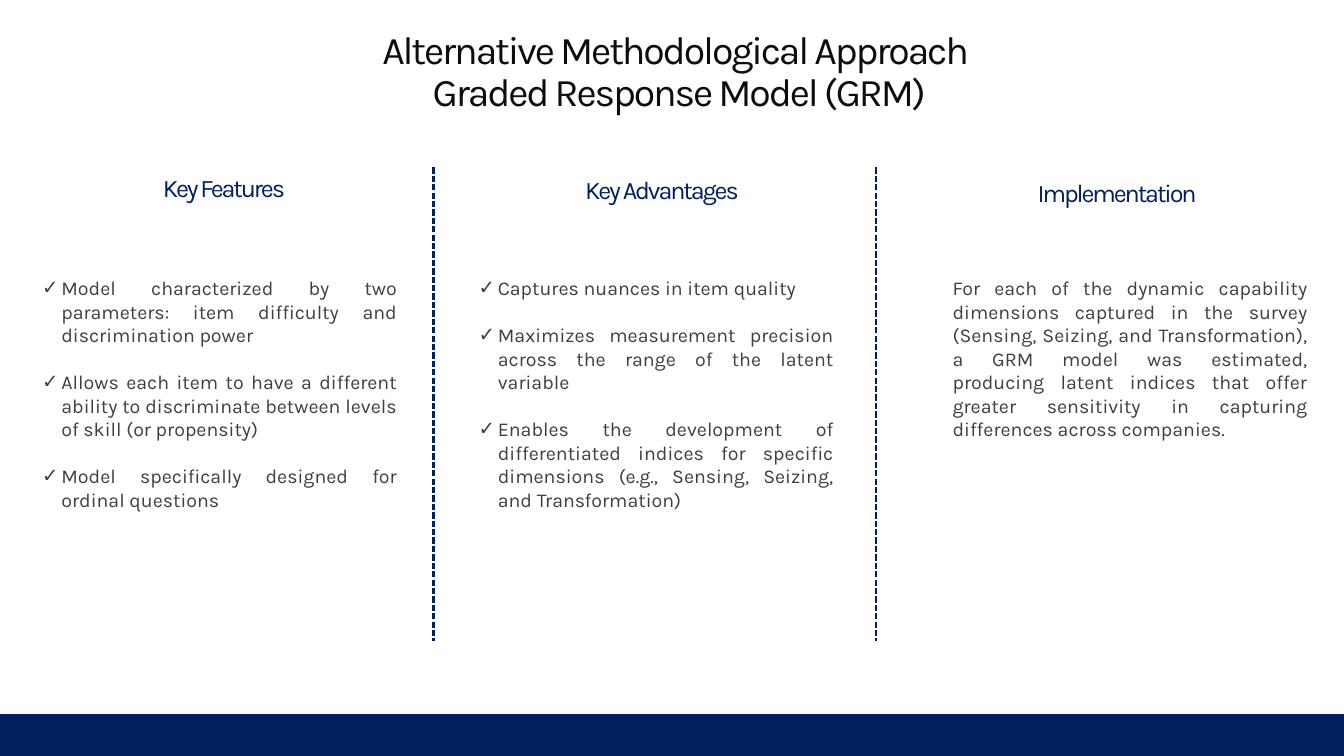
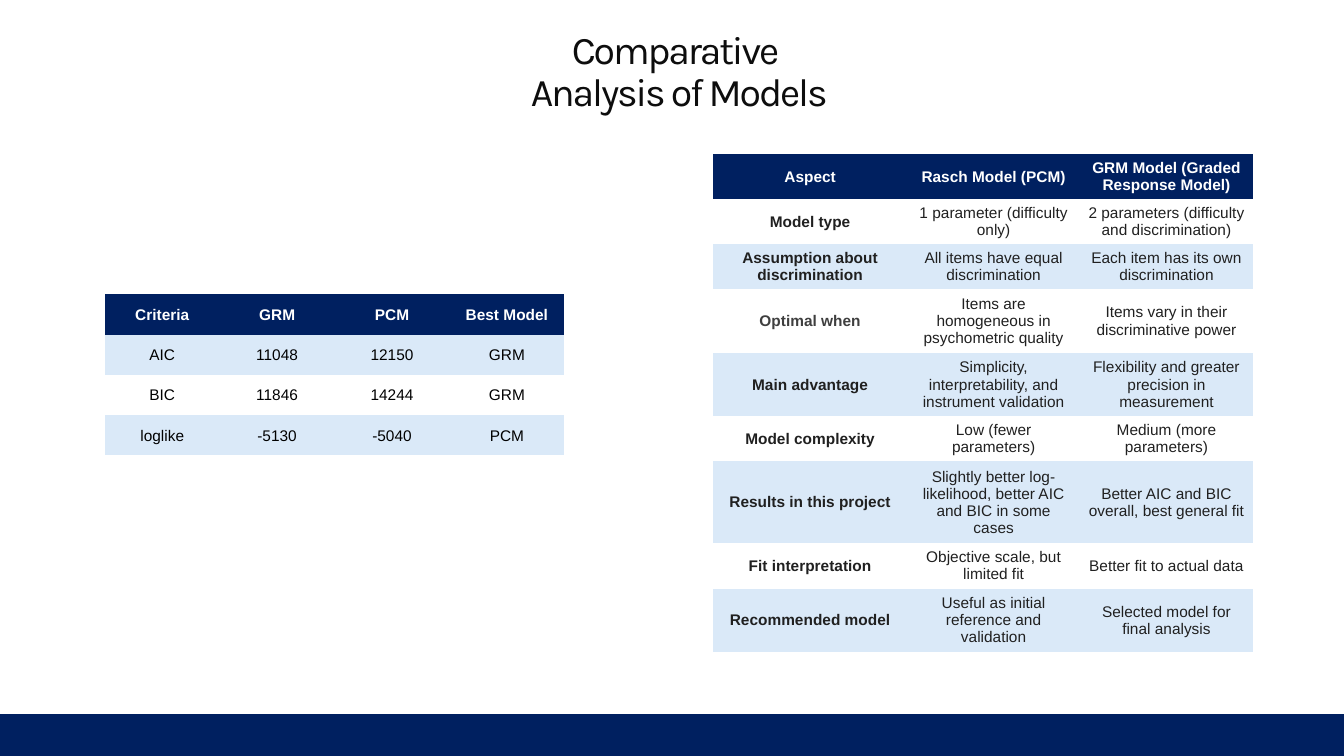
from itertools import pairwise

from lxml.etree import SubElement
from pptx import Presentation
from pptx.dml.color import RGBColor
from pptx.enum.dml import MSO_LINE
from pptx.enum.shapes import MSO_CONNECTOR, MSO_SHAPE
from pptx.enum.text import MSO_ANCHOR, MSO_AUTO_SIZE, PP_ALIGN
from pptx.oxml.ns import qn
from pptx.util import Inches, Pt

COLORS = {
    "navy": "002060", "title": "0D0D0D", "body": "3F3F3F", "cell": "202020",
    "black": "000000", "white": "FFFFFF", "stripe": "DAE9F8",
}
PLAIN_TABLE = "{2D5ABB26-0587-4C30-8999-92F81FD0307C}"
HEADING_INSETS = (0.24, 0.05, 0.1, 0.05)
BODY_INSETS = (0.1, 0.05, 0.1, 0.05)

deck = Presentation()
deck.slide_width, deck.slide_height = Inches(13.33), Inches(7.5)


def place(left, top, width, height):
    """Turn percentages of the slide's width and height into lengths."""
    sides = (deck.slide_width, deck.slide_height) * 2
    return [round(side * share / 100) for side, share in zip(sides, (left, top, width, height))]


def write_text(frame, texts, *, size, color, font="Karla", bold=False, align=PP_ALIGN.CENTER,
               anchor=MSO_ANCHOR.MIDDLE, insets=HEADING_INSETS, tracking=0,
               line_spacing=None, gap=0, bullet=None):
    frame.word_wrap = True
    frame.vertical_anchor = anchor
    frame.margin_left, frame.margin_top, frame.margin_right, frame.margin_bottom = map(Inches, insets)
    for number, text in enumerate(texts):
        para = frame.add_paragraph() if number else frame.paragraphs[0]
        para.text = text
        para.alignment = align
        if bullet:
            props = para._p.get_or_add_pPr()
            props.set("marL", str(Inches(0.19)))
            props.set("indent", str(-Inches(0.19)))
            SubElement(props, qn("a:buFont")).set("typeface", "Arial")
            SubElement(props, qn("a:buChar")).set("char", bullet)
        if line_spacing:
            para.line_spacing = line_spacing
        if number and gap:
            para.space_before = Pt(gap)
        for span in para.runs:
            span.font.name, span.font.size, span.font.bold = font, Pt(size), bold
            span.font.color.rgb = RGBColor.from_string(COLORS[color])
            if tracking:
                span._r.get_or_add_rPr().set("spc", str(round(tracking * 100)))


# Shared title and bottom band
titles = [
    "Alternative Methodological Approach \vGraded Response Model (GRM)",
    "Comparative \vAnalysis of Models",
]
pages = []
for title in titles:
    page = deck.slides.add_slide(deck.slide_layouts[6])
    band = page.shapes.add_shape(MSO_SHAPE.RECTANGLE, *place(0, 94.6, 100, 5.33))
    band.shadow.inherit = False
    band.fill.solid()
    band.fill.fore_color.rgb = band.line.color.rgb = RGBColor.from_string(COLORS["navy"])
    band.line.width = Pt(1)
    box = page.shapes.add_textbox(*place(0, 4, 100, 11.2))
    write_text(box.text_frame, [title], size=28, color="title", tracking=-1.5, line_spacing=0.9)
    pages.append(page)
approach, comparison = pages

# Three columns split by dashed lines
edges = [0, 32.26, 65.19, 100]
columns = [
    ("Key Features", 19.47, 2.4, "✓", [
        "Model characterized by two parameters: item difficulty and discrimination power",
        "Allows each item to have a different ability to discriminate between levels of skill (or propensity)",
        "Model specifically designed for ordinal questions",
    ]),
    ("Key Advantages", 19.73, 34.88, "✓", [
        "Captures nuances in item quality",
        "Maximizes measurement precision across the range of the latent variable",
        "Enables the development of differentiated indices for specific dimensions "
        "(e.g., Sensing, Seizing, and Transformation)",
    ]),
    ("Implementation", 20.13, 70.14, None, [
        "For each of the dynamic capability dimensions captured in the survey (Sensing, Seizing, "
        "and Transformation), a GRM model was estimated, producing latent indices that offer "
        "greater sensitivity in capturing differences across companies.",
    ]),
]
for edge in edges[1:-1]:
    divider = approach.shapes.add_connector(MSO_CONNECTOR.STRAIGHT, *place(edge, 22.13, edge, 84.8))
    divider.line.color.rgb = RGBColor.from_string(COLORS["navy"])
    divider.line.width = Pt(1.5)
    divider.line.dash_style = MSO_LINE.SQUARE_DOT
    SubElement(divider._element.spPr, qn("a:effectLst"))

for (left, right), (heading, top, body_left, bullet, texts) in zip(pairwise(edges), columns):
    box = approach.shapes.add_textbox(*place(left, top, right - left, 11.2))
    write_text(box.text_frame, [heading], size=18, color="navy", tracking=-1.5, line_spacing=0.9)
    box = approach.shapes.add_textbox(*place(body_left, 35.87, 27.9, 32.8 if bullet else 23.33))
    write_text(box.text_frame, texts, size=14, color="body", align=PP_ALIGN.JUSTIFY,
               anchor=MSO_ANCHOR.TOP, insets=BODY_INSETS, gap=16.8, bullet=bullet)
    box.text_frame.auto_size = MSO_AUTO_SIZE.SHAPE_TO_FIT_TEXT

# Two tables
aspects = [
    ("Aspect", "Rasch Model (PCM)", "GRM Model (Graded Response Model)"),
    ("Model type", "1 parameter (difficulty only)", "2 parameters (difficulty and discrimination)"),
    ("Assumption about discrimination", "All items have equal discrimination",
     "Each item has its own discrimination"),
    ("Optimal when", "Items are homogeneous in psychometric quality",
     "Items vary in their discriminative power"),
    ("Main advantage", "Simplicity, interpretability, and instrument validation",
     "Flexibility and greater precision in measurement"),
    ("Model complexity", "Low (fewer parameters)", "Medium (more parameters)"),
    ("Results in this project", "Slightly better log-likelihood, better AIC and BIC in some cases",
     "Better AIC and BIC overall, best general fit"),
    ("Fit interpretation", "Objective scale, but limited fit", "Better fit to actual data"),
    ("Recommended model", "Useful as initial reference and validation",
     "Selected model for final analysis"),
]
criteria = [
    ("Criteria", "GRM", "PCM", "Best Model"),
    ("AIC", "11048", "12150", "GRM"),
    ("BIC", "11846", "14244", "GRM"),
    ("loglike", "-5130", "-5040", "PCM"),
]
aspect_heights = [1.1 + 2.25 * lines for lines in (2, 2, 2, 3, 3, 2, 4, 2, 3)]
tables = [
    dict(rows=aspects, left=53.04, top=20.4, widths=[14.48, 12.83, 12.9], heights=aspect_heights,
         insets=(0.08, 0.04, 0.08, 0.04), color="cell", bold_labels=True, striped=0),
    dict(rows=criteria, left=7.8, top=38.93, widths=[8.55] * 4, heights=[5.33] * 4,
         insets=(0.01, 0.01, 0.01, 0), color="black", bold_labels=False, striped=1),
]
for plan in tables:
    widths, heights = plan["widths"], plan["heights"]
    area = place(plan["left"], plan["top"], sum(widths), sum(heights))
    table = comparison.shapes.add_table(len(heights), len(widths), *area).table
    table.horz_banding = False
    table._tbl.tblPr.find(qn("a:tableStyleId")).text = PLAIN_TABLE
    for column, width in zip(table.columns, widths):
        column.width = place(0, 0, width, 0)[2]
    for row, height in zip(table.rows, heights):
        row.height = place(0, 0, 0, height)[3]
    for r, texts in enumerate(plan["rows"]):
        for c, text in enumerate(texts):
            cell = table.cell(r, c)
            fill = "navy" if r == 0 else "stripe" if r % 2 == plan["striped"] else None
            if fill:
                cell.fill.solid()
                cell.fill.fore_color.rgb = RGBColor.from_string(COLORS[fill])
            else:
                cell.fill.background()
            color = "white" if r == 0 else "body" if text == "Optimal when" else plan["color"]
            write_text(cell.text_frame, [text], size=11, color=color, font="Arial",
                       bold=r == 0 or (c == 0 and plan["bold_labels"]))
            cell.vertical_anchor = MSO_ANCHOR.MIDDLE
            cell.margin_left, cell.margin_top, cell.margin_right, cell.margin_bottom = map(
                Inches, plan["insets"])
            # Cell margins replace the frame's own settings
            body = cell.text_frame._txBody.bodyPr
            for name in list(body.attrib):
                del body.attrib[name]

deck.save("out.pptx")
